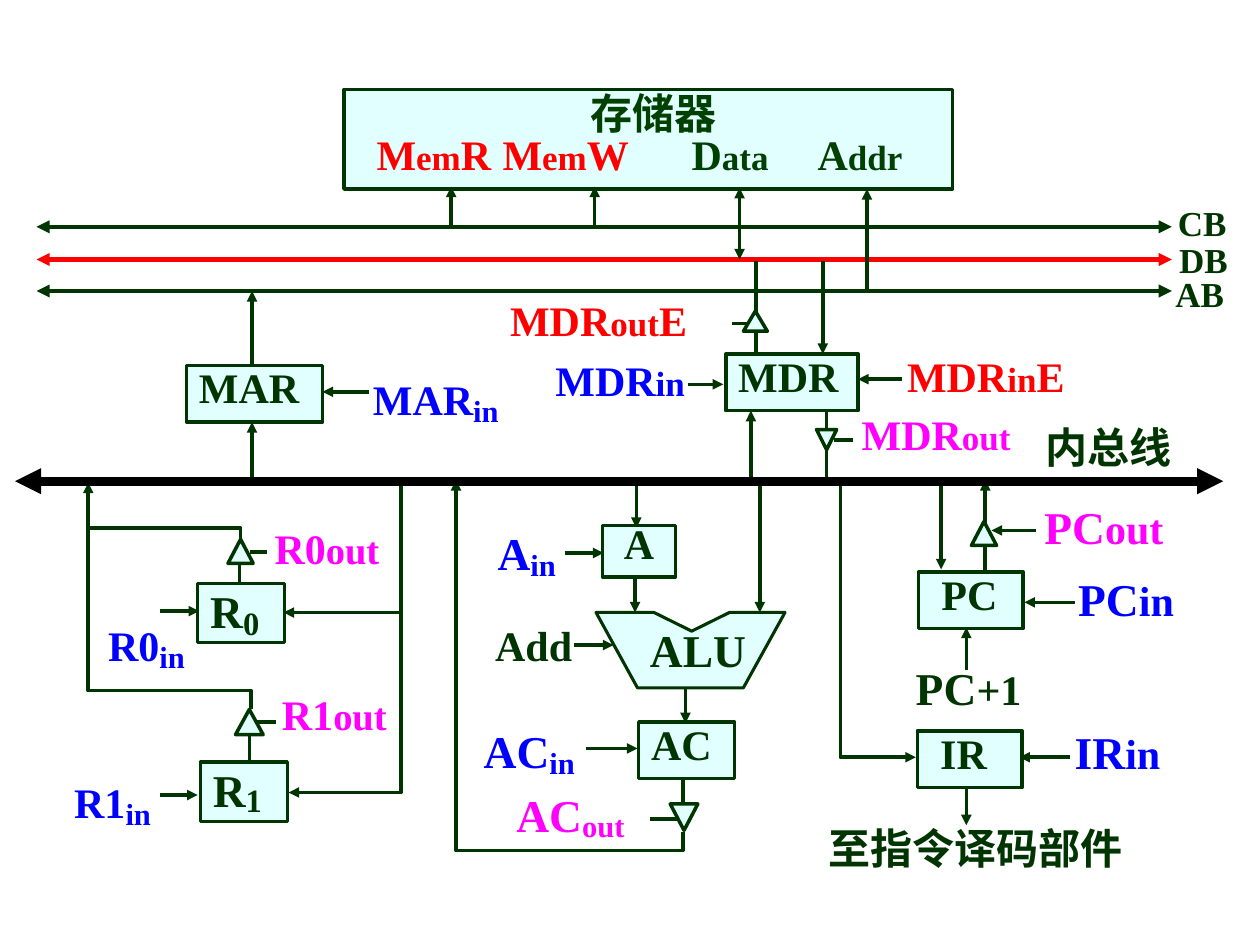
from typing import NamedTuple

from lxml import etree
from pptx import Presentation
from pptx.dml.color import RGBColor
from pptx.enum.shapes import MSO_CONNECTOR, MSO_SHAPE
from pptx.enum.text import MSO_ANCHOR, PP_ALIGN
from pptx.oxml.ns import qn
from pptx.util import Pt

STRAIGHT = MSO_CONNECTOR.STRAIGHT
RECTANGLE, TEXT_TRIANGLE = MSO_SHAPE.RECTANGLE, MSO_SHAPE.ISOSCELES_TRIANGLE
TOP, MIDDLE = MSO_ANCHOR.TOP, MSO_ANCHOR.MIDDLE
LEFT, CENTER = PP_ALIGN.LEFT, PP_ALIGN.CENTER
GREEN = RGBColor(0x00, 0x34, 0x00)
MEMORY_GREEN = RGBColor(0x00, 0x40, 0x00)
PALE = RGBColor(0xE1, 0xFF, 0xFF)
RED = RGBColor(0xFF, 0x00, 0x00)
BLUE = RGBColor(0x00, 0x00, 0xFF)
PINK = RGBColor(0xFF, 0x00, 0xFF)
BLACK = RGBColor(0x00, 0x00, 0x00)
FONT = "Times New Roman"


class Span(NamedTuple):
    text: str
    size: float
    baseline: int = 0
    color: RGBColor | None = None


class Label(NamedTuple):
    left: float
    top: float
    width: float
    spans: tuple[Span, ...]
    color: RGBColor = GREEN
    spacing: float = 1.0


class Block(NamedTuple):
    left: float
    top: float
    width: float
    height: float
    spans: tuple[Span, ...]
    spacing: float = 0.8
    indent: float = 0
    align: PP_ALIGN = LEFT
    anchor: MSO_ANCHOR = TOP


class Gate(NamedTuple):
    left: float
    top: float
    width: float
    height: float
    flipped: bool = False


class Wire(NamedTuple):
    points: tuple[tuple[float, float], ...]
    head: bool = False
    tail: bool = True
    width: float = 2
    color: RGBColor = GREEN


def plain(text: str, size: float = 24) -> tuple[Span, ...]:
    return (Span(text, size),)


def signal(name: str, suffix: str, size: float, suffix_size: float, baseline: int = 0) -> tuple[Span, ...]:
    return Span(name, size), Span(suffix, suffix_size, baseline)


def line(x1: float, y1: float, x2: float, y2: float, head: bool = False, tail: bool = True,
         width: float = 2, color: RGBColor = GREEN) -> Wire:
    return Wire(((x1, y1), (x2, y2)), head, tail, width, color)


def stub(x1: float, y1: float, x2: float, y2: float) -> Wire:
    return line(x1, y1, x2, y2, tail=False)


LABELS = [
    Label(666, 111.6, 66, plain("CB", 20)),
    Label(666.7, 132.5, 66, plain("DB", 20)),
    Label(664.6, 152, 66, plain("AB", 20)),
    Label(590.4, 237.6, 95, plain("内总线")),
    Label(466.6, 466.6, 198, plain("至指令译码部件")),
    Label(275.8, 350.6, 78.5, plain("Add")),
    Label(364.3, 352, 95, plain("ALU", 26)),
    Label(277.2, 292.3, 76, signal("A", "in", 26, 30, -12), BLUE),
    Label(269.3, 405.4, 76, signal("AC", "in", 26, 30, -12), BLUE),
    Label(288, 442, 96.5, signal("AC", "out", 26, 30, -10), PINK),
    Label(589.7, 281.5, 94.3, signal("PC", "out", 26, 24), PINK),
    Label(609, 322.6, 94.3, signal("PC", "in", 26, 24), BLUE),
    Label(516.2, 373.7, 94.3, signal("PC", "+1", 26, 24)),
    Label(607, 410.4, 94.3, signal("IR", "in", 26, 24), BLUE),
    Label(54.7, 344.2, 70, signal("R0", "in", 24, 30, -14), BLUE),
    Label(35.3, 434.2, 70, signal("R1", "in", 24, 30, -14), BLUE),
    Label(149.8, 295.2, 94.3, signal("R0", "out", 24, 22), PINK),
    Label(154, 390.2, 94.3, signal("R1", "out", 24, 22), PINK),
    Label(206, 203.8, 98, signal("MAR", "in", 24, 30, -14), BLUE),
    Label(310.3, 204.5, 99.4, signal("MDR", "in", 24, 20), BLUE, 0.8),
    Label(511.2, 202.3, 142, signal("MDR", "in", 24, 20) + plain("E"), RED, 0.8),
    Label(284.4, 170.6, 125.3, signal("MDR", "out", 24, 20) + plain("E"), RED, 0.8),
    Label(485.3, 235.4, 142, signal("MDR", "out", 24, 20), PINK, 0.8),
]
BLOCKS = [
    Block(344.2, 300.2, 41.8, 29.5, plain("A"), 0.7, align=CENTER),
    Block(113, 333.4, 49.7, 33.8, signal("R", "0", 26, 32, -12), 0.75, anchor=MIDDLE),
    Block(114.5, 435.6, 49.7, 33.8, signal("R", "1", 26, 32, -10), 0.75, anchor=MIDDLE),
    Block(106.6, 208.8, 77.8, 32.4, plain("MAR")),
    Block(414.7, 202.3, 75.6, 32.4, plain("MDR")),
    Block(524.9, 326.9, 59.8, 32.4, plain("PC"), indent=6),
    Block(524.2, 417.6, 59.8, 32.4, plain("IR"), indent=6),
    Block(365, 412.6, 54.7, 32.4, plain("AC")),
]
GATES = [
    Gate(383, 459.4, 15.8, 15.1, True),
    Gate(555.1, 298, 14.4, 13.7),
    Gate(130.3, 308.2, 14.4, 13.7),
    Gate(134.6, 405.4, 15.8, 14.4),
    Gate(424.8, 177.8, 13.7, 11.5),
    Gate(466.6, 245.5, 11.5, 11.5, True),
]
WIRES = [
    line(20.9, 129.6, 669.6, 129.6, True, width=2.5),
    line(20.9, 166.3, 669.6, 166.3, True, width=2.5),
    line(669.6, 148.3, 20.9, 148.3, True, width=2.5, color=RED),
    line(391.7, 391, 391.7, 413.3),
    line(362.9, 330.5, 362.9, 350),
    line(434.2, 276.5, 434.2, 350),
    line(363.6, 276.5, 363.6, 301.7),
    line(422.6, 107.3, 422.6, 148.3, True),
    line(537.8, 276.5, 537.8, 325.4),
    line(563, 326.2, 563, 274.3),
    line(552.2, 383, 552.2, 358.6),
    line(495.4, 166.3, 495.4, 108),
    line(591.8, 303.1, 566.6, 303.1),
    line(257.8, 129.6, 257.8, 106.6),
    line(339.8, 129.6, 339.8, 106.6),
    line(334.8, 427.7, 364.3, 427.7),
    stub(390.2, 445, 390.2, 458.6),
    line(371.5, 468, 386.6, 468, tail=False, width=2.25),
    Wire(((390.2, 475.2), (390.2, 486), (260.6, 486), (260.6, 274.3))),
    line(614.2, 344.2, 585.4, 344.2),
    Wire(((480.2, 278), (480.2, 432.7), (523.4, 432.7))),
    line(611.3, 432.7, 582.5, 432.7),
    line(552.2, 449.3, 552.2, 471.6),
    Wire(((229.3, 278), (229.3, 452.9), (164.9, 452.9))),
    line(229, 350, 162, 350),
    stub(136.8, 333.4, 136.8, 321.8),
    Wire(((137.5, 308.9), (137.5, 301.7), (50.8, 301.7)), tail=False),
    stub(142.6, 434.2, 142.6, 420.5),
    Wire(((143.3, 405.4), (143.3, 394.6), (50.4, 394.6), (50.4, 275.8))),
    line(91.4, 454.3, 113, 454.3),
    line(91.4, 349.2, 113.8, 349.2),
    stub(142.6, 315.4, 152.6, 315.4),
    stub(146.9, 412.6, 157.7, 412.6),
    line(144, 272.9, 144, 241.2),
    line(144, 208, 144, 166.3),
    line(211, 223.9, 184.3, 223.9),
    line(429.1, 274.3, 429.1, 234.7),
    stub(418.3, 185, 428.4, 185),
    stub(432, 202.3, 432, 190),
    line(432, 179.3, 432, 149, tail=False, width=2.25),
    line(470.2, 149, 470.2, 202.3),
    stub(476.6, 251.3, 487.4, 251.3),
    stub(472.3, 257, 472.3, 273.6),
    stub(472.3, 234, 472.3, 247),
    line(393.1, 219.6, 413.3, 219.6),
    line(515.5, 216.7, 490.3, 216.7),
    line(328.3, 368.6, 350.6, 368.6),
    line(322.6, 316, 344.9, 316),
    line(8.6, 275, 699, 275, True, width=5, color=BLACK),
]
ALU_OUTLINE = ((364.3, 393.1), (340.6, 350), (373.7, 350), (395.3, 360.7),
               (416.9, 350), (448.6, 350), (424.8, 393.1))
MEMORY_TITLE = plain("存储器")
MEMORY_PORTS = (
    Span("M", 24, color=RED), Span("em", 20, color=RED), Span("R\tM", 24, color=RED),
    Span("em", 20, color=RED), Span("W", 24, color=RED), Span("\tD", 24),
    Span("ata", 20), Span("\tA", 24), Span("ddr", 20),
)
MEMORY_TABS = (101.5, 192, 265)


def write(para, spans: tuple[Span, ...], color: RGBColor, spacing: float, indent: float = 0, align=LEFT) -> None:
    para.alignment = align
    para.line_spacing = spacing
    para.font.name = FONT
    para.font.bold = True
    para.font.color.rgb = color
    if indent:
        properties = para._p.get_or_add_pPr()
        properties.set("marL", str(Pt(indent)))
        properties.set("indent", "0")
    for part in spans:
        span = para.add_run()
        span.text = part.text
        span.font.name = FONT
        span.font.bold = True
        span.font.size = Pt(part.size)
        span.font.color.rgb = part.color or color
        if part.baseline:
            span._r.get_or_add_rPr().set("baseline", str(part.baseline * 1000))


def paint(shape, width: float = 2) -> None:
    shape.shadow.inherit = False
    shape.fill.solid()
    shape.fill.fore_color.rgb = PALE
    shape.line.color.rgb = GREEN
    shape.line.width = Pt(width)


def add_outline(shapes, points, close: bool):
    corners = [(Pt(x), Pt(y)) for x, y in points]
    builder = shapes.build_freeform(*corners[0])
    builder.add_line_segments(corners[1:], close=close)
    return builder.convert_to_shape()


def add_wire(shapes, wire: Wire) -> None:
    if len(wire.points) == 2:
        (x1, y1), (x2, y2) = wire.points
        shape = shapes.add_connector(STRAIGHT, Pt(x1), Pt(y1), Pt(x2), Pt(y2))
    else:
        shape = add_outline(shapes, wire.points, False)
        shape.fill.background()
    shape.line.color.rgb = wire.color
    shape.line.width = Pt(wire.width)
    outline = shape.line._get_or_add_ln()
    for tag, shown in (("a:headEnd", wire.head), ("a:tailEnd", wire.tail)):
        if shown:
            etree.SubElement(outline, qn(tag)).set("type", "triangle")
    etree.SubElement(shape._element.spPr, qn("a:effectLst"))


def add_block(shapes, block: Block, color: RGBColor = GREEN):
    box = shapes.add_shape(RECTANGLE, *map(Pt, block[:4]))
    paint(box)
    box.text_frame.word_wrap = True
    box.text_frame.vertical_anchor = block.anchor
    write(box.text_frame.paragraphs[0], block.spans, color, block.spacing, block.indent, block.align)
    return box


def add_gate(shapes, gate: Gate) -> None:
    triangle = shapes.add_shape(TEXT_TRIANGLE, *map(Pt, gate[:4]))
    paint(triangle)
    if gate.flipped:
        triangle._element.spPr.get_or_add_xfrm().set("flipV", "1")


def add_label(shapes, label: Label) -> None:
    height = label.spans[0].size * 1.2 * label.spacing + 7.2
    box = shapes.add_textbox(Pt(label.left), Pt(label.top), Pt(label.width), Pt(height))
    box.text_frame.word_wrap = True
    write(box.text_frame.paragraphs[0], label.spans, label.color, label.spacing)


def add_memory(shapes) -> None:
    memory = Block(196.6, 51.1, 347.8, 56.9, MEMORY_TITLE, 0.85, 6, CENTER)
    box = add_block(shapes, memory, MEMORY_GREEN)
    ports = box.text_frame.add_paragraph()
    write(ports, MEMORY_PORTS, MEMORY_GREEN, 0.8, 11.5)
    properties = ports._p.get_or_add_pPr()
    stops = etree.Element(qn("a:tabLst"))
    for position in MEMORY_TABS:
        etree.SubElement(stops, qn("a:tab"), pos=str(Pt(position)), algn="l")
    properties.find(qn("a:defRPr")).addprevious(stops)


deck = Presentation()
deck.slide_width, deck.slide_height = Pt(720), Pt(540)
page = deck.slides.add_slide(deck.slide_layouts[6])
add_memory(page.shapes)
for wire in WIRES:
    add_wire(page.shapes, wire)
for block in BLOCKS:
    add_block(page.shapes, block)
for gate in GATES:
    add_gate(page.shapes, gate)
paint(add_outline(page.shapes, ALU_OUTLINE, True), 1.75)
for label in LABELS:
    add_label(page.shapes, label)
deck.save("out.pptx")
